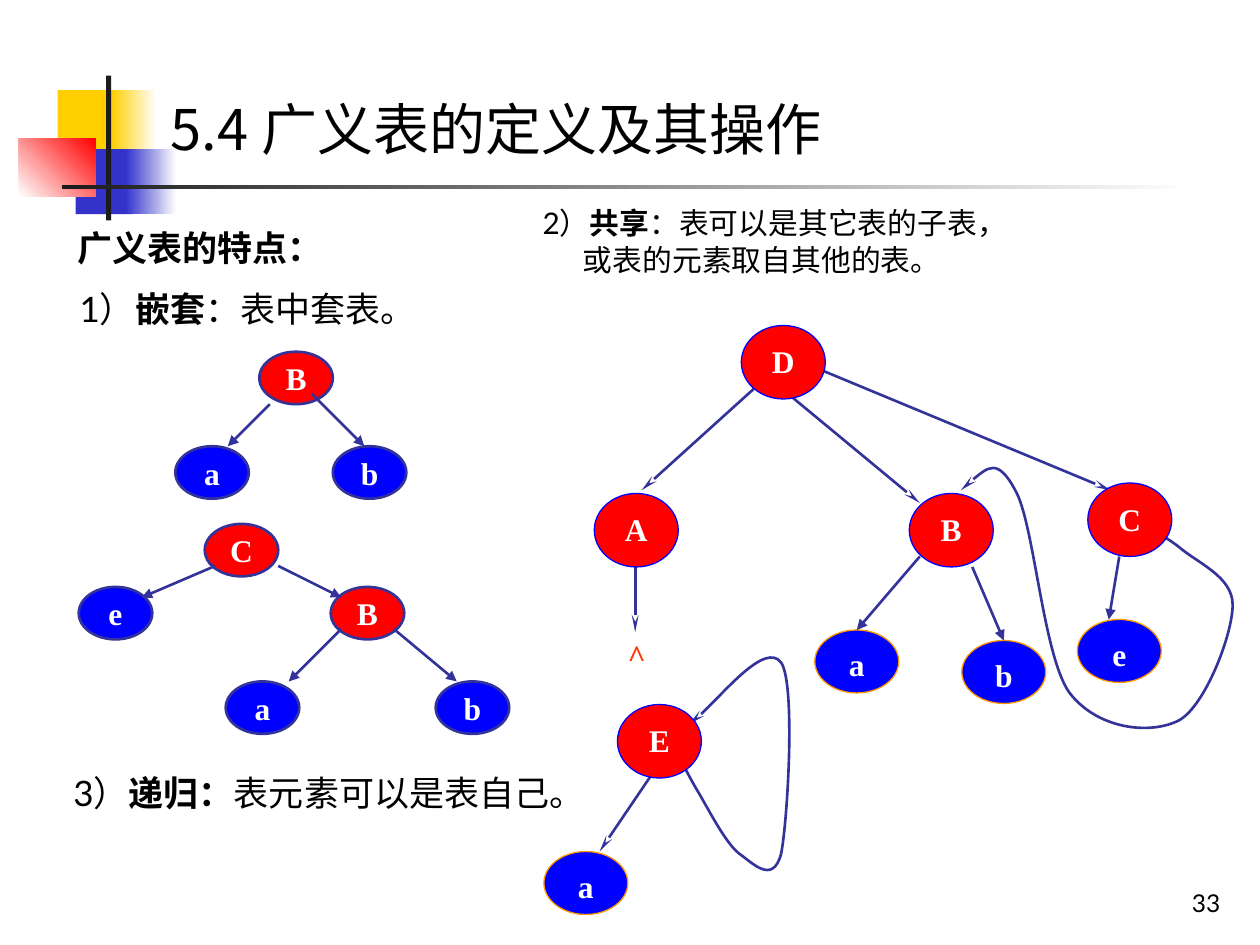
from lxml.etree import SubElement
from pptx import Presentation
from pptx.dml.color import RGBColor
from pptx.enum.shapes import MSO_CONNECTOR, MSO_SHAPE
from pptx.enum.text import MSO_ANCHOR, PP_ALIGN
from pptx.oxml.ns import qn
from pptx.util import Inches, Pt

COLORS = {
    "yellow": "FFCF01", "violet": "3333CC", "red": "FF0000", "blue": "0000FF",
    "navy": "333399", "orange": "FF9900", "caret": "FF3300",
    "ink": "1C1C1C", "black": "000000", "white": "FFFFFF",
}
SANS, CJK, SERIF = "Lato", "Noto Sans CJK JP", "Times New Roman"
WIDTH, HEIGHT = Inches(10), Inches(7.5)
COLUMN, ROW = WIDTH / 120, HEIGHT / 90

# Node looks: width, height, fill, outline, outline width, text anchor
NESTED_LIST = (7, 5, "red", "navy", 1.5, MSO_ANCHOR.MIDDLE)
NESTED_ATOM = (7, 5, "blue", "navy", 1.5, MSO_ANCHOR.MIDDLE)
SHARED_LIST = (8, 7, "red", "blue", 0.75, MSO_ANCHOR.TOP)
SHARED_ATOM = (8, 6, "blue", "orange", 0.75, MSO_ANCHOR.TOP)


def rgb(name):
    return RGBColor.from_string(COLORS[name])


def grid(origin, x, y):
    """Slide position of a column and row counted from origin."""
    return round((origin[0] + x) * COLUMN), round((origin[1] + y) * ROW)


def add_run(paragraph, text, size, font=SANS, color="black", bold=False):
    run = paragraph.add_run()
    run.text = text
    run.font.size, run.font.bold, run.font.name = Pt(size), bold, font
    run.font.color.rgb = rgb(color)
    SubElement(run.font._element, qn("a:ea"), typeface=CJK)


def add_textbox(slide, box, lines, size, font=SANS, color="black",
                align=PP_ALIGN.LEFT, anchor=MSO_ANCHOR.TOP, spacing=0.9):
    """Write lines, each a list of (text, bold) runs."""
    x, y, width, height = box
    frame = slide.shapes.add_textbox(
        *grid((0, 0), x, y), *grid((0, 0), width, height)).text_frame
    frame.word_wrap, frame.vertical_anchor = True, anchor
    for index, runs in enumerate(lines):
        paragraph = frame.paragraphs[0] if index == 0 else frame.add_paragraph()
        paragraph.alignment, paragraph.line_spacing = align, spacing
        if index:
            paragraph.space_before = Pt(3)
            paragraph._p.get_or_add_pPr().set("marL", str(Inches(0.32)))
        for text, bold in runs:
            add_run(paragraph, text, size, font, color, bold)


def add_arrowhead(arrow, head):
    """Style the line and give it a head; stealth heads are long and slim."""
    arrow.line.color.rgb = rgb("navy")
    arrow.line.width = Pt(1.5)
    size = {"w": "sm", "len": "lg"} if head == "stealth" else {}
    SubElement(arrow.line._get_or_add_ln(), qn("a:tailEnd"), type=head, **size)


def add_edges(slide, origin, edges, head):
    for x1, y1, x2, y2 in edges:
        edge = slide.shapes.add_connector(
            MSO_CONNECTOR.STRAIGHT, *grid(origin, x1, y1), *grid(origin, x2, y2))
        add_arrowhead(edge, head)
        SubElement(edge._element.spPr, qn("a:effectLst"))


def add_loop(slide, origin, points):
    """Draw a Bezier arrow: a start, then two controls and an end per curve."""
    start, *rest = [grid(origin, *point) for point in points]
    builder = slide.shapes.build_freeform(*start)
    builder.add_line_segments(rest, close=False)
    loop = builder.convert_to_shape()
    loop.shadow.inherit = False
    loop.fill.background()
    outline = next(loop._element.iter(qn("a:path")))
    segments = outline.findall(qn("a:lnTo"))
    for first in range(0, len(segments), 3):
        curve = SubElement(outline, qn("a:cubicBezTo"))
        for segment in segments[first:first + 3]:
            curve.append(segment[0])
            outline.remove(segment)
    add_arrowhead(loop, "stealth")


def add_node(slide, origin, label, x, y, look):
    width, height, fill, outline, weight, anchor = look
    node = slide.shapes.add_shape(
        MSO_SHAPE.OVAL, *grid(origin, x, y), *grid((0, 0), width, height))
    node.shadow.inherit = False
    node.fill.solid()
    node.fill.fore_color.rgb = rgb(fill)
    node.line.color.rgb = rgb(outline)
    node.line.width = Pt(weight)
    frame = node.text_frame
    frame.vertical_anchor = anchor
    frame.word_wrap = look[0] == SHARED_LIST[0]
    frame.paragraphs[0].alignment = PP_ALIGN.CENTER
    add_run(frame.paragraphs[0], label, 18, SERIF, "white", True)


def add_tree(slide, origin, nodes, edges=(), stealth_edges=(), loop=()):
    if loop:
        add_loop(slide, origin, loop)
    add_edges(slide, origin, stealth_edges, "stealth")
    for node in nodes:
        add_node(slide, origin, *node)
    add_edges(slide, origin, edges, "triangle")


def add_ornament(slide, origin):
    """Colour blocks and the rule under the title."""
    blocks = [
        (3.7, 1.4, 5.8, 6.2, "yellow", None, 0),
        (8.8, 1.4, 4.3, 6.2, "yellow", "white", 0),
        (5.4, 7, 5.5, 6.2, "violet", None, 0),
        (10.2, 7, 4.8, 6.2, "violet", "white", 0),
        (0, 6, 7.3, 5.5, "white", "red", 45),
        (8.3, 0, 0.5, 13.8, "ink", None, 0),
        (4.1, 10.4, 108, 0.4, "ink", "white", 0),
    ]
    for x, y, width, height, color, fade, angle in blocks:
        block = slide.shapes.add_shape(
            MSO_SHAPE.RECTANGLE, *grid(origin, x, y), *grid((0, 0), width, height))
        block.shadow.inherit = False
        block.line.fill.background()
        if fade:
            block.fill.gradient()
            block.fill.gradient_angle = angle
            for stop, name in zip(block.fill.gradient_stops, (color, fade)):
                stop.color.rgb = rgb(name)
        else:
            block.fill.solid()
            block.fill.fore_color.rgb = rgb(color)


def add_nesting(slide):
    add_tree(slide, (16.7, 33.5),
             [("B", 8, 0, NESTED_LIST), ("a", 0, 9, NESTED_ATOM),
              ("b", 15, 9, NESTED_ATOM)],
             [(13, 4, 18, 9), (9, 5, 5, 9)])
    add_tree(slide, (7.5, 49.9),
             [("C", 12, 0, NESTED_LIST), ("e", 0, 6, NESTED_ATOM),
              ("B", 24, 6, NESTED_LIST), ("a", 14, 15, NESTED_ATOM),
              ("b", 34, 15, NESTED_ATOM)],
             [(13, 4, 6, 7), (19, 4, 25, 7), (25, 10, 20, 15), (30, 10, 36, 15)])


def add_sharing(slide, origin):
    add_tree(slide, origin,
             [("D", 14, 0, SHARED_LIST), ("A", 0, 16, SHARED_LIST),
              ("B", 30, 16, SHARED_LIST), ("C", 47, 15, SHARED_LIST),
              ("a", 21, 29, SHARED_ATOM), ("b", 35, 30, SHARED_ATOM),
              ("e", 46, 28, SHARED_ATOM)],
             [(31, 22, 25, 29), (36, 23, 39, 30), (50, 22, 49, 28)],
             [(17, 4.4, 4.5, 15.7), (17.6, 5.8, 31, 16.9),
              (21.5, 4.2, 49.2, 15.7), (3.9, 18.7, 3.9, 29.2)],
             [(50.4, 18), (51.2, 18.5), (53.9, 19.7), (55.7, 21.1),
              (57.4, 22.6), (60.8, 23.9), (60.8, 26.6),
              (60.8, 29.4), (58.2, 36.2), (55.7, 37.6),
              (53, 39), (47.9, 38.5), (45.2, 34.9),
              (42.7, 31.2), (41.9, 18.8), (40.1, 15.7),
              (38.4, 12.5), (36.7, 14), (34.9, 15.7)])
    add_textbox(slide, (origin[0] + 2, origin[1] + 29, 9, 4.8),
                [[("^", True)]], 18, SERIF, "caret", spacing=1)


def add_recursion(slide, origin):
    add_tree(slide, origin,
             [("E", 7, 6, SHARED_LIST), ("a", 0, 20, SHARED_ATOM)],
             stealth_edges=[(11.4, 11, 5.3, 20)],
             loop=[(13.1, 11.3), (13.3, 11.8), (13.7, 12.6), (14.5, 14),
                   (15.5, 15.6), (17.2, 19.1), (18.6, 20.2),
                   (19.9, 21.1), (21.8, 23.2), (22.6, 20.2),
                   (23.2, 17.2), (24, 4.1), (22.6, 2),
                   (21.1, 0), (15.6, 6.7), (13.8, 7.9)])


def add_wording(slide):
    justify = PP_ALIGN.JUSTIFY
    add_textbox(slide, (15.1, 9.1, 104.9, 7.7),
                [[("5.4 广义表的定义及其操作", False)]], 32, CJK)
    add_textbox(slide, (6.2, 21.4, 110.6, 6.7),
                [[("广义表的特点：", True)]], 20, align=justify)
    add_textbox(slide, (6.4, 27.2, 37.1, 5.9),
                [[("1）", False), ("嵌套", True), ("：表中套表。", False)]],
                20, align=justify)
    add_textbox(slide, (50.5, 19.3, 60.8, 9),
                [[("2）", False), ("共享", True), ("：表可以是其它表的子表，", False)],
                 [("或表的元素取自其他的表。", False)]], 17, align=justify)
    add_textbox(slide, (5.8, 73.3, 69.5, 9),
                [[("3）", False), ("递归：", True), ("表元素可以是表自己。", False)]],
                20, align=justify)
    add_textbox(slide, (92.4, 82, 25, 6), [[("33", False)]], 14,
                align=PP_ALIGN.RIGHT, anchor=MSO_ANCHOR.BOTTOM, spacing=1)


def main():
    deck = Presentation()
    deck.slide_width, deck.slide_height = WIDTH, HEIGHT
    slide = deck.slides.add_slide(deck.slide_layouts[6])
    add_ornament(slide, (1.8, 7.2))
    add_wording(slide)
    add_nesting(slide)
    add_sharing(slide, (56.6, 31))
    add_recursion(slide, (51.8, 61.1))
    deck.save("out.pptx")


if __name__ == "__main__":
    main()
